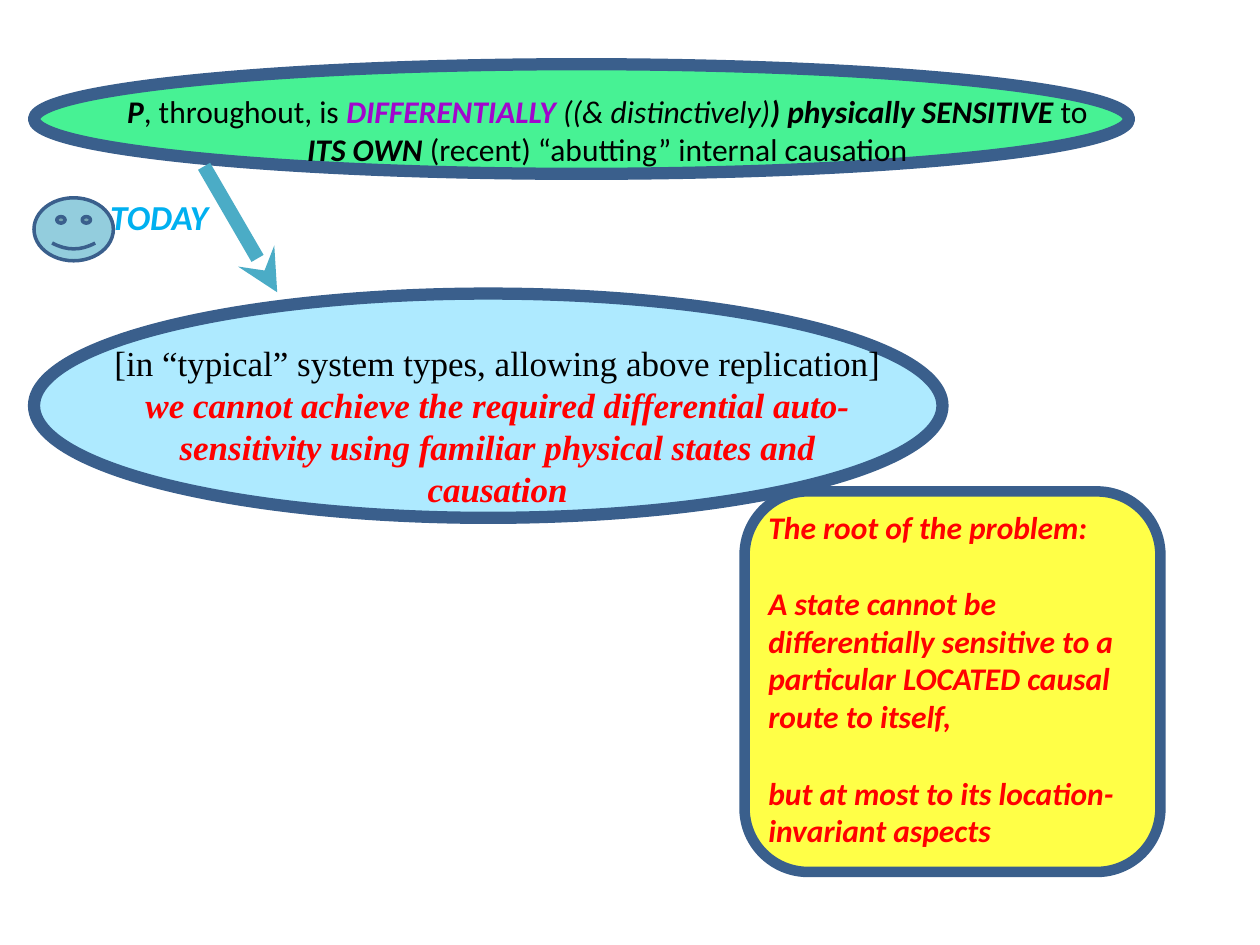
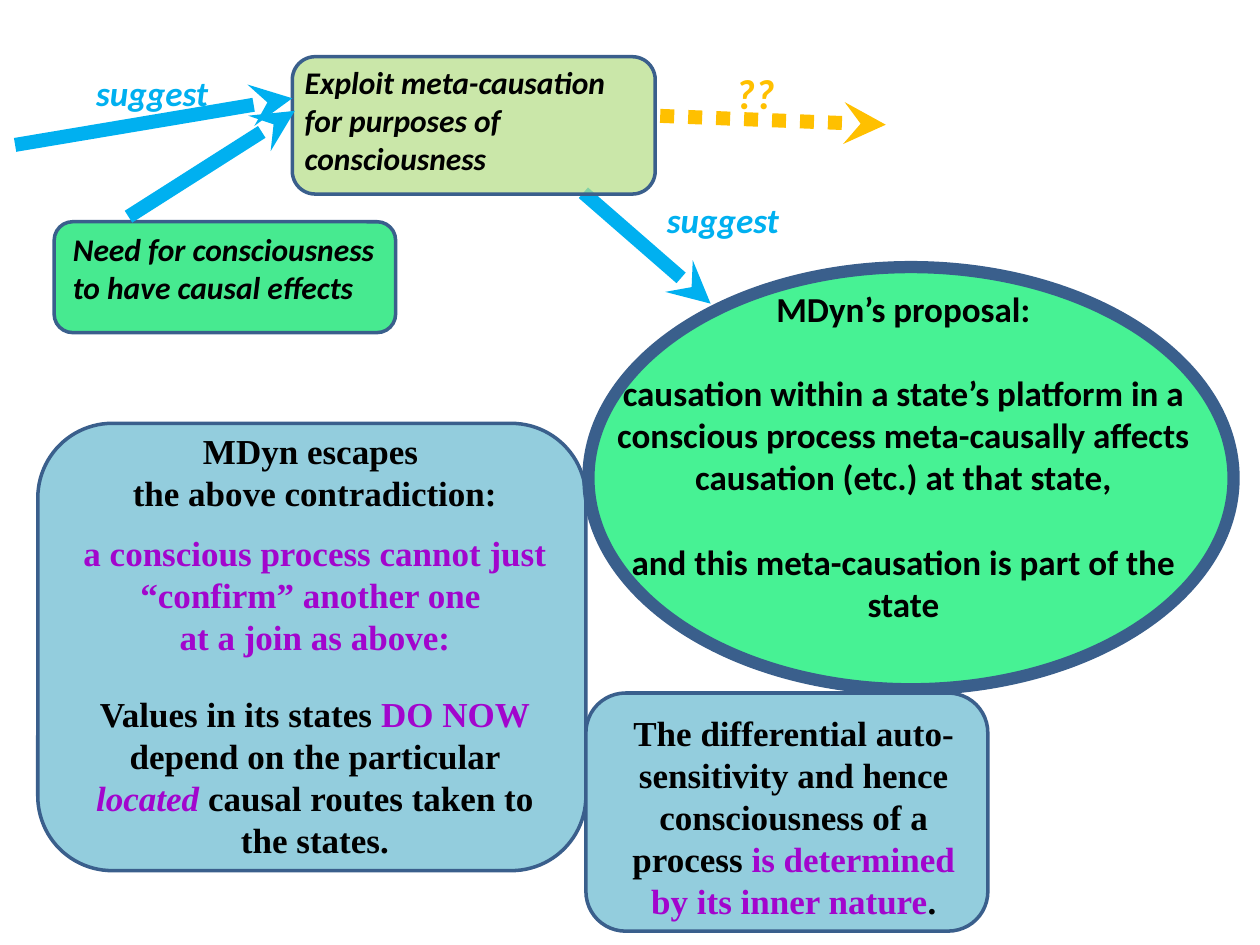
from dataclasses import dataclass, replace
from typing import Optional, Union

from pptx import Presentation
from pptx.dml.color import RGBColor
from pptx.enum.dml import MSO_LINE
from pptx.enum.shapes import MSO_CONNECTOR, MSO_SHAPE
from pptx.enum.text import MSO_AUTO_SIZE, PP_ALIGN
from pptx.oxml.ns import qn
from pptx.slide import Slide
from pptx.util import Emu, Inches, Pt
from lxml.etree import SubElement

COLUMNS, ROWS = 100, 75
SLIDE_WIDTH, SLIDE_HEIGHT = Inches(10), Inches(7.5)


@dataclass(frozen=True)
class Theme:
    sans: str = "Calibri"
    serif: str = "Times New Roman"
    small: int = 18
    medium: int = 20
    large: int = 24
    black: str = "000000"
    red: str = "FF0000"
    purple: str = "A205CD"
    sky: str = "00B0F0"
    amber: str = "FFC000"
    teal: str = "4BACC6"
    outline: str = "3A5F8C"
    mint: str = "00EE6C"
    green: str = "00E266"
    lime: str = "B6DF89"
    ice: str = "8FE2FF"
    yellow: str = "FFFF00"
    steel: str = "93CDDD"
    opacity: int = 72
    thin: int = 2
    medium_line: int = 6
    thick: int = 7
    arrow: int = 8


THEME = Theme()


@dataclass(frozen=True)
class Style:
    font: str = THEME.sans
    size: int = THEME.small
    color: str = THEME.black
    bold: bool = False
    italic: bool = False


@dataclass(frozen=True)
class Area:
    """Left, top, width and height in grid columns and rows."""
    left: float
    top: float
    width: float
    height: float


@dataclass(frozen=True)
class Span:
    text: str
    style: Style


@dataclass(frozen=True)
class Para:
    spans: tuple[Span, ...]
    after: float = 0


@dataclass(frozen=True)
class Panel:
    kind: MSO_SHAPE
    area: Area
    fill: str
    line: int = THEME.thin
    opacity: Optional[int] = THEME.opacity


@dataclass(frozen=True)
class Caption:
    area: Area
    paras: tuple[Para, ...]
    align: PP_ALIGN = PP_ALIGN.LEFT


@dataclass(frozen=True)
class Arrow:
    start: tuple[float, float]
    end: tuple[float, float]
    color: str = THEME.sky
    dotted: bool = False


Item = Union[Panel, Caption, Arrow]


def x(columns: float) -> Emu:
    return Emu(round(SLIDE_WIDTH * columns / COLUMNS))


def y(rows: float) -> Emu:
    return Emu(round(SLIDE_HEIGHT * rows / ROWS))


def place(area: Area) -> tuple[Emu, Emu, Emu, Emu]:
    return x(area.left), y(area.top), x(area.width), y(area.height)


def para(text: str, style: Style, after: float = 0) -> Para:
    return Para((Span(text, style),), after)


def draw_panel(slide: Slide, panel: Panel) -> None:
    shape = slide.shapes.add_shape(panel.kind, *place(panel.area))
    shape.shadow.inherit = False
    shape.fill.solid()
    shape.fill.fore_color.rgb = RGBColor.from_string(panel.fill)
    shape.line.color.rgb = RGBColor.from_string(THEME.outline)
    shape.line.width = Pt(panel.line)
    if panel.opacity is not None:
        color = shape.element.spPr.find(qn("a:solidFill"))[0]
        SubElement(color, qn("a:alpha")).set("val", str(panel.opacity * 1000))


def draw_caption(slide: Slide, caption: Caption) -> None:
    frame = slide.shapes.add_textbox(*place(caption.area)).text_frame
    frame.word_wrap = True
    frame.auto_size = MSO_AUTO_SIZE.SHAPE_TO_FIT_TEXT
    for index, content in enumerate(caption.paras):
        paragraph = frame.add_paragraph() if index else frame.paragraphs[0]
        paragraph.alignment = caption.align
        paragraph.space_after = Pt(content.after)
        for span in content.spans:
            run = paragraph.add_run()
            run.text = span.text
            run.font.name = span.style.font
            run.font.size = Pt(span.style.size)
            run.font.bold = span.style.bold
            run.font.italic = span.style.italic
            run.font.color.rgb = RGBColor.from_string(span.style.color)


def draw_arrow(slide: Slide, arrow: Arrow) -> None:
    (x1, y1), (x2, y2) = arrow.start, arrow.end
    connector = slide.shapes.add_connector(
        MSO_CONNECTOR.STRAIGHT, x(x1), y(y1), x(x2), y(y2))
    connector.line.color.rgb = RGBColor.from_string(arrow.color)
    connector.line.width = Pt(THEME.arrow)
    if arrow.dotted:
        connector.line.dash_style = MSO_LINE.ROUND_DOT
    properties = connector.element.spPr
    SubElement(properties.find(qn("a:ln")), qn("a:tailEnd")).set("type", "stealth")
    SubElement(properties, qn("a:effectLst"))


def draw(slide: Slide, items: list[Item]) -> None:
    painters = {Panel: draw_panel, Caption: draw_caption, Arrow: draw_arrow}
    for item in items:
        painters[type(item)](slide, item)


PLAIN = Style()
ITALIC = replace(PLAIN, italic=True)
STRONG = replace(ITALIC, bold=True)
ROOT = replace(STRONG, color=THEME.red)
HINT = replace(STRONG, size=THEME.medium, color=THEME.sky)
DOUBT = replace(STRONG, size=THEME.large, color=THEME.amber)
PROPOSAL = Style(size=THEME.medium, bold=True)
SERIF = Style(font=THEME.serif, size=THEME.medium)
SERIF_RED = replace(SERIF, color=THEME.red, bold=True, italic=True)
SERIF_BOLD = replace(SERIF, bold=True)
SERIF_PURPLE = replace(SERIF_BOLD, color=THEME.purple)

# Space of one empty line of the sans font
LINE = 1.22
SMALL_GAP, MEDIUM_GAP = THEME.small * LINE, THEME.medium * LINE

ELLIPSE, ROUNDED = MSO_SHAPE.OVAL, MSO_SHAPE.ROUNDED_RECTANGLE
CENTER, RIGHT = PP_ALIGN.CENTER, PP_ALIGN.RIGHT


def hint(left: float, top: float, width: float, text: str) -> Caption:
    return Caption(Area(left, top, width, 4.4), (para(text, HINT),), RIGHT)


PROBLEM: list[Item] = [
    Panel(ELLIPSE, Area(2.7, 23.3, 72.1, 17.8), THEME.ice, THEME.thick),
    Caption(Area(7.5, 26.6, 64, 14.5), (
        para("[in “typical” system types, allowing above replication]", SERIF),
        para("we cannot achieve the required differential auto-sensitivity "
             "using familiar physical states and causation", SERIF_RED),
    ), CENTER),
    Panel(ROUNDED, Area(59.1, 39, 33, 30.2), THEME.yellow, THEME.medium_line),
    Caption(Area(60, 39.8, 30.6, 28.3), (
        para("The root of the problem:", ROOT, SMALL_GAP),
        para("A state cannot be differentially sensitive to a particular "
             "LOCATED causal route to itself,", ROOT, SMALL_GAP),
        para("but at most to its location-invariant aspects", ROOT),
    )),
    hint(6.1, 15, 11.4, "TODAY"),
    Panel(ELLIPSE, Area(2.7, 5.1, 86.9, 8.7), THEME.mint, THEME.thick),
    Caption(Area(7.4, 6.8, 81.6, 7.1), (
        Para((
            Span("P", STRONG),
            Span(", throughout, is ", PLAIN),
            Span("DIFFERENTIALLY ", replace(STRONG, color=THEME.purple)),
            Span("((& distinctively)", ITALIC),
            Span(") physically SENSITIVE", STRONG),
            Span(" to", PLAIN),
        )),
        Para((
            Span("ITS OWN ", STRONG),
            Span("(recent) “abutting” internal causation", PLAIN),
        )),
    ), CENTER),
    Arrow((16.2, 13.2), (22, 23.2), THEME.teal),
    Panel(MSO_SHAPE.SMILEY_FACE, Area(2.7, 15.7, 6.3, 5), THEME.steel, opacity=None),
]

ANSWER: list[Item] = [
    Panel(ROUNDED, Area(3, 33.6, 43.5, 35.5), THEME.steel, opacity=None),
    Arrow((46.3, 15.3), (56.4, 24.1)),
    Panel(ELLIPSE, Area(46.7, 21.2, 51.2, 33.5), THEME.mint, THEME.thick),
    Caption(Area(47.3, 22.3, 48.8, 31.3), (
        para("MDyn’s proposal:", PROPOSAL, MEDIUM_GAP),
        para("causation within a state’s platform in a conscious process "
             "meta-causally affects causation (etc.) at that state,",
             PROPOSAL, MEDIUM_GAP),
        para("and this meta-causation is part of the state", PROPOSAL),
    ), CENTER),
    Panel(ROUNDED, Area(23.2, 4.5, 28.8, 10.9), THEME.lime),
    Caption(Area(23.2, 4.5, 27.1, 10.1), (
        para("Exploit meta-causation for purposes of consciousness", STRONG),
    )),
    Arrow((1.2, 11.5), (23.2, 7.8)),
    Arrow((52.4, 9.2), (70.3, 9.9), THEME.amber, dotted=True),
    Caption(Area(57.4, 4.9, 5.6, 5), (para("??", DOUBT),)),
    hint(4.3, 5.2, 13.2, "suggest"),
    hint(49.6, 15.3, 13.2, "suggest"),
    Caption(Area(5.3, 33.6, 39.4, 35.5), (
        para("MDyn escapes ", SERIF_BOLD),
        para("the above contradiction:", SERIF_BOLD, 10),
        para("a conscious process cannot just “confirm” another one ", SERIF_PURPLE),
        para("at a join as above:", SERIF_PURPLE, 20),
        Para((
            Span("Values in its states ", SERIF_BOLD),
            Span("DO NOW", SERIF_PURPLE),
            Span(" depend on the particular ", SERIF_BOLD),
            Span("located ", replace(SERIF_PURPLE, italic=True)),
            Span("causal routes taken to the states.", SERIF_BOLD),
        ), 20),
    ), CENTER),
    Panel(ROUNDED, Area(46.5, 55, 31.9, 18.9), THEME.steel, opacity=None),
    Caption(Area(47.7, 56, 30.6, 17.8), (
        Para((
            Span("The differential auto-sensitivity and hence consciousness "
                 "of a process ", SERIF_BOLD),
            Span("is determined by its inner nature", SERIF_PURPLE),
            Span(".", SERIF_BOLD),
        ), 20),
    ), CENTER),
    Panel(ROUNDED, Area(4.3, 17.6, 27.1, 8.8), THEME.green),
    Caption(Area(4.8, 17.8, 27.1, 7.1), (
        para("Need for consciousness to have causal effects", STRONG),
    )),
    Arrow((10.2, 17.2), (23.4, 8.8)),
]


def main() -> None:
    deck = Presentation()
    deck.slide_width, deck.slide_height = SLIDE_WIDTH, SLIDE_HEIGHT
    blank = deck.slide_layouts[6]
    for items in (PROBLEM, ANSWER):
        draw(deck.slides.add_slide(blank), items)
    deck.save("out.pptx")


if __name__ == "__main__":
    main()
